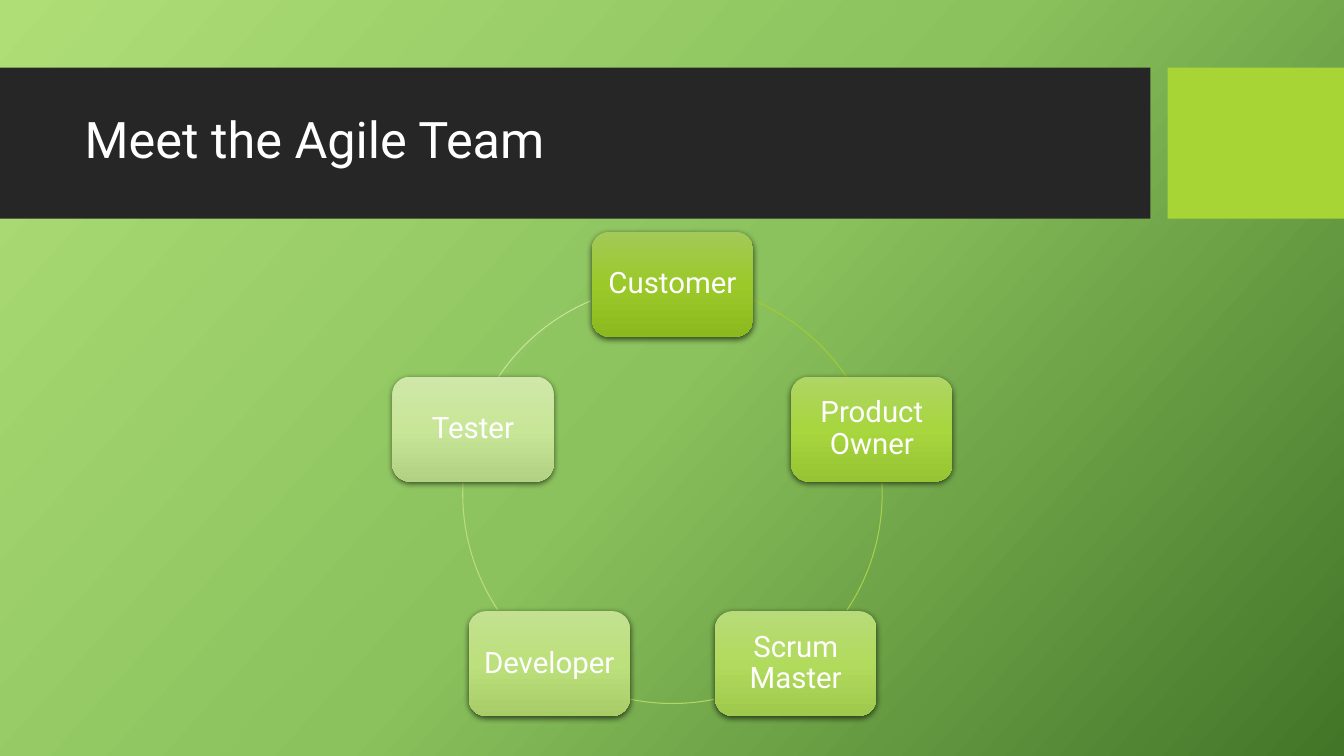
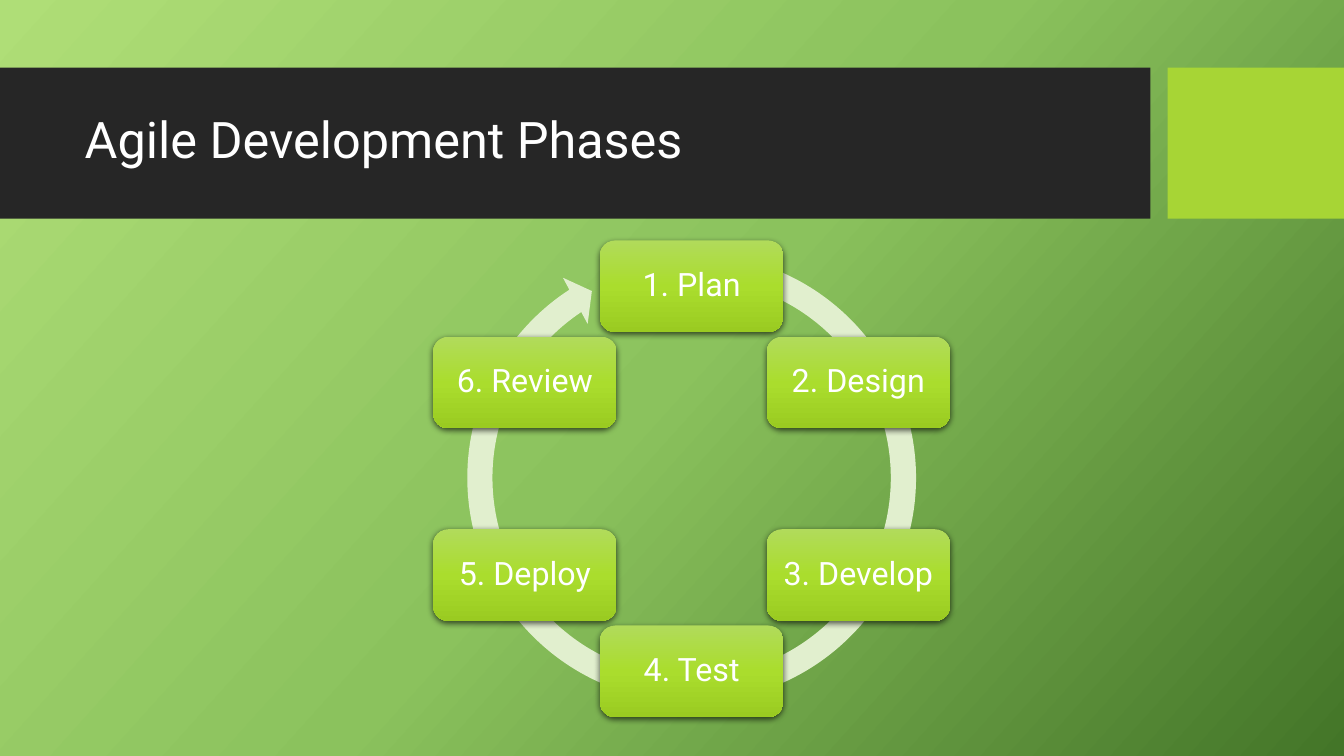
from copy import deepcopy
from dataclasses import dataclass
from math import cos, radians, sin

from lxml.etree import SubElement
from pptx import Presentation
from pptx.dml.color import RGBColor
from pptx.dml.fill import FillFormat
from pptx.enum.shapes import MSO_SHAPE
from pptx.enum.text import MSO_ANCHOR, PP_ALIGN
from pptx.oxml.ns import qn
from pptx.oxml.xmlchemy import BaseOxmlElement
from pptx.shapes.autoshape import Shape
from pptx.slide import Slide
from pptx.text.text import _Paragraph as Para
from pptx.util import Inches, Pt

# Shared style
FONT = "Roboto"
WHITE, DARK, LIME, PALE = "FFFFFF", "262626", "A7D535", "E1EFCE"
BACK = ("AFDE77", "8BC25D", "437528")
PHASE = ("B1DB5B", "AADD2D", "9ACB21")
INSET = 0.08


@dataclass
class Node:
    text: str
    tints: tuple[str, str, str]


@dataclass
class Ring:
    x: float
    y: float
    radius: float
    width: float
    height: float
    size: int


@dataclass
class Arc:
    start: float
    end: float
    color: str


TEAM = [
    Node("Customer", ("A3C958", "9BC929", "8CB91E")),
    Node("Product Owner", ("AFD564", "A7D63F", "97C432")),
    Node("Scrum Master", ("B8DB79", "B1DB5D", "9FC94C")),
    Node("Developer", ("C3E190", "BCE07B", "A8CD68")),
    Node("Tester", ("CFE7A9", "C8E698", "B3D183")),
]
ARCS = [
    Arc(293, 326, "A0CB33"),
    Arc(357, 33.6, "A8D14D"),
    Arc(78.6, 101.6, "B1D767"),
    Arc(146.4, 183, "BCDC81"),
    Arc(214, 247, "C7E39B"),
]
STEPS = ["Plan", "Design", "Develop", "Test", "Deploy", "Review"]


# Helpers
def rgb(color: str) -> RGBColor:
    return RGBColor.from_string(color)


def blend(fill: FillFormat, root: BaseOxmlElement, tints: tuple[str, str, str], angle: float) -> None:
    """Fill with three evenly spaced tints, at a clockwise angle."""
    fill.gradient()
    fill.gradient_angle = 360 - angle
    stops = next(root.iter(qn("a:gsLst")))
    stops.append(deepcopy(stops[0]))
    for i, (stop, tint) in enumerate(zip(fill.gradient_stops, tints)):
        stop.position = i / 2
        stop.color.rgb = rgb(tint)


def style(para: Para, size: int, align: PP_ALIGN) -> None:
    para.alignment = align
    para.line_spacing = 0.9
    para.font.name = FONT
    para.font.size = Pt(size)
    para.font.color.rgb = rgb(WHITE)


def draw(slide: Slide, kind: MSO_SHAPE, x: float, y: float, w: float, h: float,
         color: str | None = None) -> Shape:
    shape = slide.shapes.add_shape(kind, Inches(x), Inches(y), Inches(w), Inches(h))
    shape.shadow.inherit = False
    shape.line.fill.background()
    if color:
        shape.fill.solid()
        shape.fill.fore_color.rgb = rgb(color)
    else:
        shape.fill.background()
    return shape


def shade(shape: Shape) -> None:
    effects = next(shape.element.iter(qn("a:effectLst")))
    outer = SubElement(effects, qn("a:outerShdw"), blurRad=str(Pt(4.5)), dist=str(Pt(1.5)),
                       dir="5400000", algn="ctr", rotWithShape="0")
    black = SubElement(outer, qn("a:srgbClr"), val="000000")
    SubElement(black, qn("a:alpha"), val="63000")


def place(slide: Slide, ring: Ring, nodes: list[Node]) -> None:
    """Set the nodes around the ring, clockwise from the top."""
    for i, node in enumerate(nodes):
        turn = radians(360 * i / len(nodes))
        x = ring.x + ring.radius * sin(turn) - ring.width / 2
        y = ring.y - ring.radius * cos(turn) - ring.height / 2
        box = draw(slide, MSO_SHAPE.ROUNDED_RECTANGLE, x, y, ring.width, ring.height)
        blend(box.fill, box.element, node.tints, 90)
        shade(box)
        frame = box.text_frame
        frame.word_wrap = True
        frame.vertical_anchor = MSO_ANCHOR.MIDDLE
        frame.margin_left = frame.margin_right = Inches(INSET)
        frame.margin_top = frame.margin_bottom = Inches(INSET)
        frame.text = node.text
        style(frame.paragraphs[0], ring.size, PP_ALIGN.CENTER)


def start(title: str) -> Slide:
    slide = deck.slides.add_slide(layout)
    slide.shapes.title.text = title
    style(slide.shapes.title.text_frame.paragraphs[0], 36, PP_ALIGN.LEFT)
    return slide


# Layout: background, title place and bands
deck = Presentation()
deck.slide_width, deck.slide_height = Inches(13.33), Inches(7.5)
layout = deck.slide_layouts.get_by_name("Title Only")
blend(layout.background.fill, layout.element, BACK, 42)
head = layout.placeholders[0]
head.left, head.top, head.width, head.height = map(Inches, (0.74, 0.82, 10.51, 1.18))
head.text_frame.vertical_anchor = MSO_ANCHOR.MIDDLE
head.text_frame.word_wrap = True

team = start("Meet the Agile Team")
for i, (x, w, color) in enumerate([(0, 11.41, DARK), (11.58, 1.75, LIME)]):
    band = draw(team, MSO_SHAPE.RECTANGLE, x, 0.67, w, 1.5, color)
    next(band.element.iter(qn("p:cNvPr"))).set("id", str(20 + i))
    layout.shapes.element.insert(2 + i, band.element)

# Slide 1: team ring
ring = Ring(6.67, 4.9, 2.08, 1.6, 1.04, 21)
for arc in ARCS:
    curve = draw(team, MSO_SHAPE.ARC, ring.x - ring.radius, ring.y - ring.radius,
                 2 * ring.radius, 2 * ring.radius)
    # Angles count in units of 1/60000 degree, scaled by 100000
    curve.adjustments[0] = arc.start * 0.6
    curve.adjustments[1] = arc.end * 0.6
    curve.line.color.rgb = rgb(arc.color)
    curve.line.width = Pt(0.75)
place(team, ring, TEAM)

# Slide 2: phase cycle
cycle = start("Agile Development Phases")
arrow = draw(cycle, MSO_SHAPE.CIRCULAR_ARROW, 4.5, 2.38, 4.72, 4.72, PALE)
for i, value in enumerate([0.053, 3.126, 142.006, 171.432, 0.055]):
    arrow.adjustments[i] = value
phases = [Node(f"{i}. {step}", PHASE) for i, step in enumerate(STEPS, 1)]
place(cycle, Ring(6.86, 4.75, 1.91, 1.82, 0.91, 23), phases)

deck.save("out.pptx")
